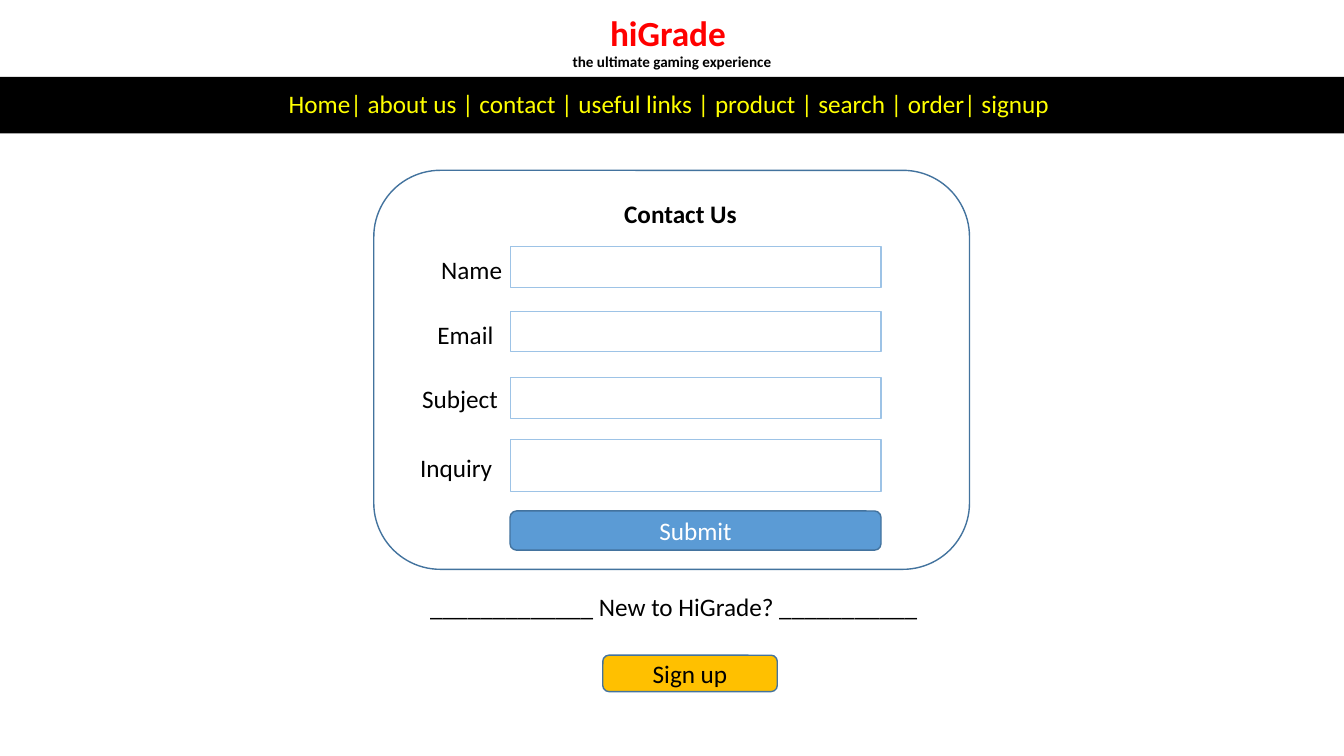
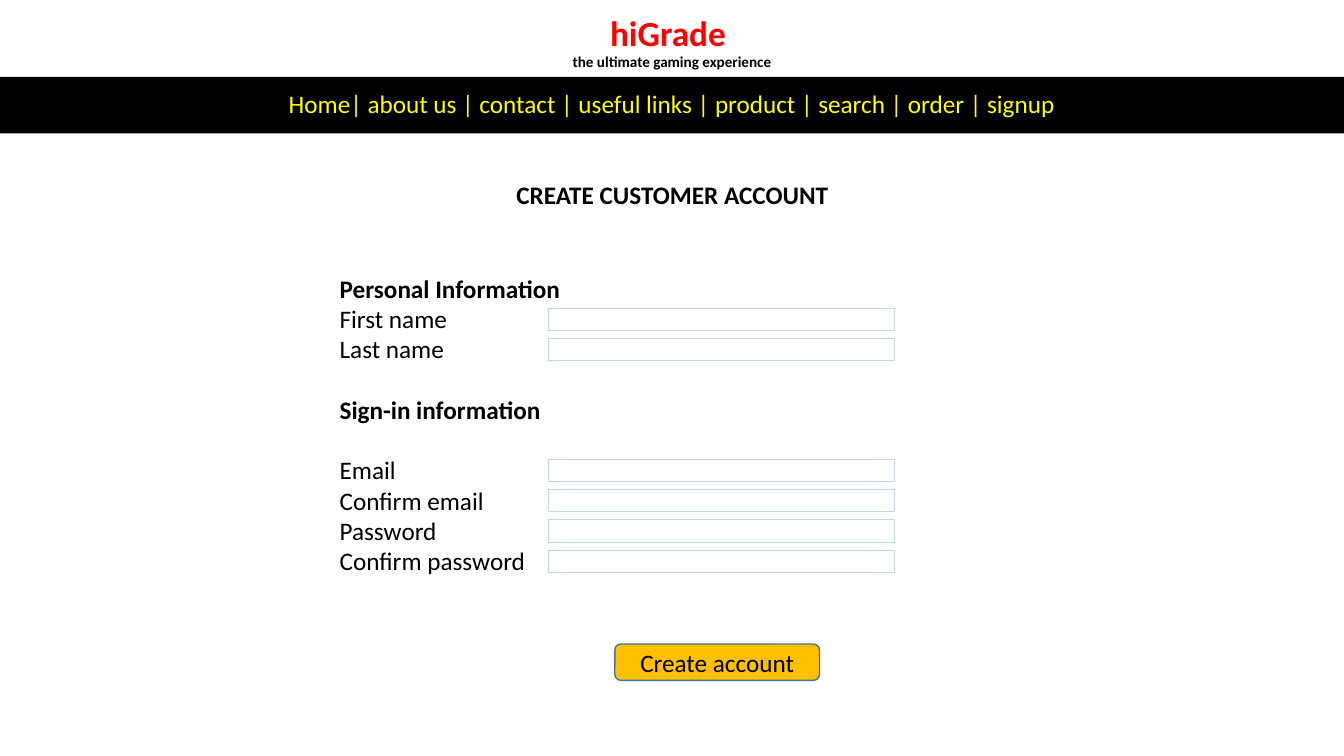
from lxml.etree import SubElement
from pptx import Presentation
from pptx.dml.color import RGBColor
from pptx.enum.shapes import MSO_SHAPE as Preset
from pptx.enum.text import MSO_ANCHOR as Anchor, MSO_AUTO_SIZE as AutoSize, PP_ALIGN as Align
from pptx.oxml.ns import qn
from pptx.util import Pt

# Shared look
FONT = "Calibri"
TEXT_SIZE = 18
RED = RGBColor(0xFF, 0x00, 0x00)
BLACK = RGBColor(0x00, 0x00, 0x00)
WHITE = RGBColor(0xFF, 0xFF, 0xFF)
YELLOW = RGBColor(0xFF, 0xFF, 0x00)
AMBER = RGBColor(0xFF, 0xC0, 0x00)
BLUE = RGBColor(0x5B, 0x9B, 0xD5)
OUTLINE = RGBColor(0x43, 0x73, 0x9E)
FIELD_LINE = RGBColor(0x9D, 0xC3, 0xE6)
PALE_FIELD_LINE = RGBColor(0xBD, 0xD7, 0xEE)

SLIDE_WIDTH, SLIDE_HEIGHT = 960, 540
LABEL_HEIGHT = 28.8
ROW_PITCH = 21.6  # one line of the sign-up list

# Layouts of the default template
TITLE_AND_CONTENT, TITLE_ONLY = 1, 5


def add_run(paragraph, text, color=BLACK, size=TEXT_SIZE, bold=False):
    run = paragraph.add_run()
    run.text = text
    run.font.name = FONT
    run.font.size = Pt(size)
    run.font.bold = bold
    run.font.color.rgb = color


def place(placeholder, left, top, width, height, anchor):
    placeholder.left, placeholder.top = Pt(left), Pt(top)
    placeholder.width, placeholder.height = Pt(width), Pt(height)
    frame = placeholder.text_frame
    frame.auto_size = AutoSize.NONE
    frame.word_wrap = True
    frame.vertical_anchor = anchor
    return frame


def add_box(slide, preset, left, top, width, height, fill=None, line=None, weight=1):
    box = slide.shapes.add_shape(preset, Pt(left), Pt(top), Pt(width), Pt(height))
    box.shadow.inherit = False
    if fill is None:
        box.fill.background()
    else:
        box.fill.solid()
        box.fill.fore_color.rgb = fill
    if line is None:
        box.line.fill.background()
    else:
        box.line.color.rgb = line
        box.line.width = Pt(weight)
    return box


def write_centered(box, text, color):
    box.text_frame.word_wrap = True
    box.text_frame.vertical_anchor = Anchor.MIDDLE
    paragraph = box.text_frame.paragraphs[0]
    paragraph.alignment = Align.CENTER
    add_run(paragraph, text, color)
    return paragraph


def add_button(slide, text, left, top, width, height, fill, color):
    button = add_box(slide, Preset.ROUNDED_RECTANGLE, left, top, width, height, fill, OUTLINE)
    write_centered(button, text, color)


def add_field(slide, left, top, width, height, line):
    add_box(slide, Preset.RECTANGLE, left, top, width, height, line=line, weight=0.75)


def add_label(slide, text, left, top, width, bold=False, align=Align.LEFT):
    label = slide.shapes.add_textbox(Pt(left), Pt(top), Pt(width), Pt(LABEL_HEIGHT))
    label.text_frame.word_wrap = True
    label.text_frame.auto_size = AutoSize.SHAPE_TO_FIT_TEXT
    paragraph = label.text_frame.paragraphs[0]
    paragraph.alignment = align
    add_run(paragraph, text, bold=bold)


def add_page(prs, layout, menu):
    """Slide with the site title and the navigation band."""
    slide = prs.slides.add_slide(prs.slide_layouts[layout])
    site_title = place(slide.shapes.title, 0, 10, SLIDE_WIDTH, 42, Anchor.MIDDLE).paragraphs[0]
    site_title.alignment = Align.CENTER
    site_title.line_spacing = 0.9
    add_run(site_title, "hiGrade ", RED, 25.2, bold=True)
    site_title.add_line_break()
    add_run(site_title, "the ultimate gaming experience", size=10.8, bold=True)

    nav_band = add_box(slide, Preset.RECTANGLE, 0, 55, SLIDE_WIDTH, 40.3, BLACK)
    write_centered(nav_band, menu, YELLOW).line_spacing = 0.9
    return slide


def build_contact_page(prs):
    slide = add_page(
        prs, TITLE_ONLY,
        "Home| about us | contact | useful links | product | search | order| signup ")
    add_box(slide, Preset.ROUNDED_RECTANGLE, 267, 121.7, 425.5, 285, line=OUTLINE)
    add_label(slide, "Contact Us", 430.6, 138.2, 110.9, bold=True, align=Align.CENTER)

    # Form rows: label, its left and top, field top and height
    field_left, field_width = 364.3, 265
    rows = [
        ("Name", 308, 177.8, 176.4, 28.8),
        ("Email", 305.3, 224.6, 222.5, 28.8),
        ("Subject", 294.5, 270, 270, 28.8),
        ("Inquiry", 293, 319.7, 313.9, 37.4),
    ]
    for text, label_left, label_top, field_top, field_height in rows:
        add_label(slide, text, label_left, label_top, 74)
        add_field(slide, field_left, field_top, field_width, field_height, FIELD_LINE)
    add_button(slide, "Submit", field_left, 365, field_width, 28, BLUE, WHITE)

    # Invitation to register
    add_label(slide, "_____________ New to HiGrade? ___________", 300.2, 419, 368)
    add_button(slide, "Sign up", 430.6, 468, 124.6, 26, AMBER, BLACK)


def build_signup_page(prs):
    slide = add_page(
        prs, TITLE_AND_CONTENT,
        "Home| about us | contact | useful links | product | search | order | signup")
    add_label(slide, "CREATE CUSTOMER ACCOUNT", 356.4, 124.6, 247.7,
              bold=True, align=Align.CENTER)

    # List lines: text, whether it is a heading, free rows above it
    lines = [
        ("Personal Information", True, 0),
        ("First name", False, 0),
        ("Last name", False, 0),
        ("Sign-in information", True, 1),
        ("Email", False, 1),
        ("Confirm email", False, 0),
        ("Password", False, 0),
        ("Confirm password", False, 0),
    ]
    form = place(slide.placeholders[1], 235.4, 191.5, 532.8, 225.4, Anchor.TOP)
    row = 0
    for index, (text, heading, free_rows) in enumerate(lines):
        paragraph = form.add_paragraph() if index else form.paragraphs[0]
        paragraph.space_before = Pt(free_rows * ROW_PITCH)
        paragraph.space_after = Pt(0)
        properties = paragraph._p.get_or_add_pPr()
        properties.set("marL", "0")
        properties.set("indent", "0")
        SubElement(properties, qn("a:buNone"))
        add_run(paragraph, text, bold=heading)

        row += free_rows
        if not heading:
            add_field(slide, 391.5, 198.5 + row * ROW_PITCH, 247.7, 16, PALE_FIELD_LINE)
        row += 1
    add_button(slide, "Create account", 439.2, 460, 146.2, 26, AMBER, BLACK)


def main():
    prs = Presentation()
    prs.slide_width, prs.slide_height = Pt(SLIDE_WIDTH), Pt(SLIDE_HEIGHT)
    build_contact_page(prs)
    build_signup_page(prs)
    prs.save("out.pptx")


if __name__ == "__main__":
    main()
